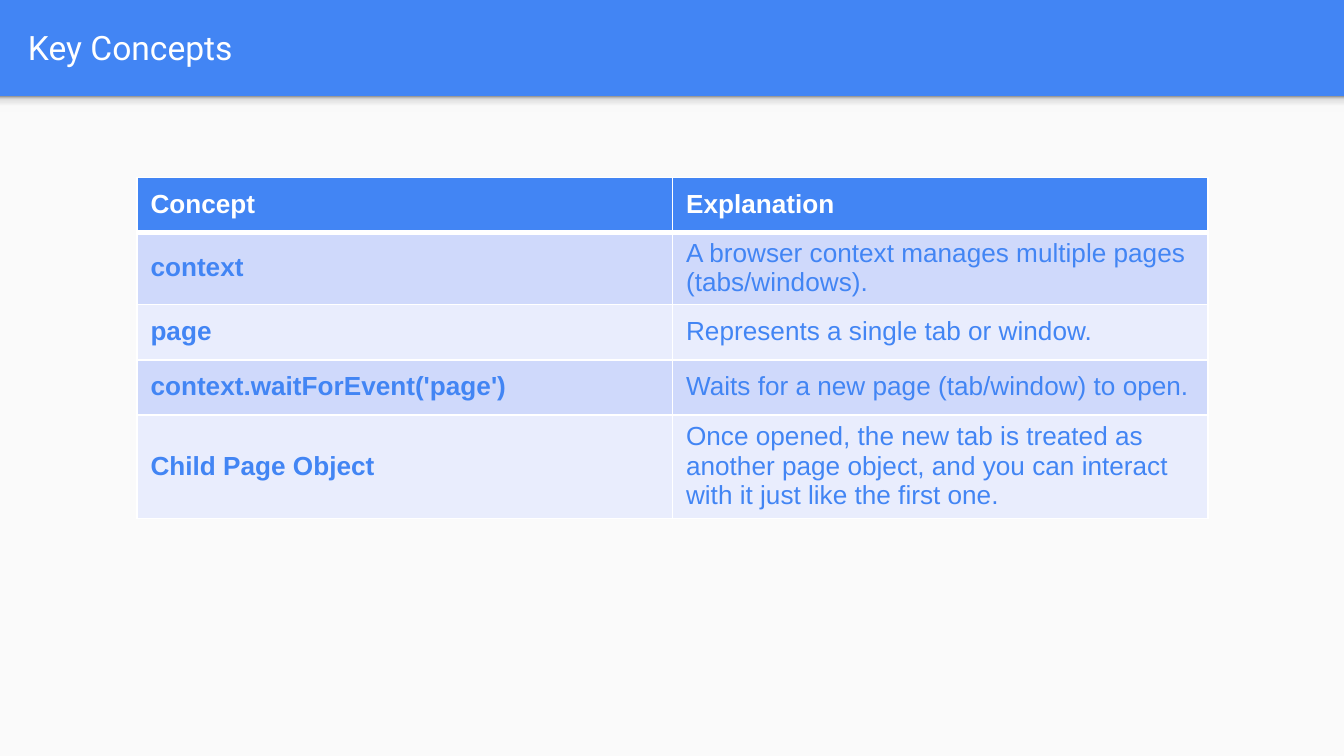
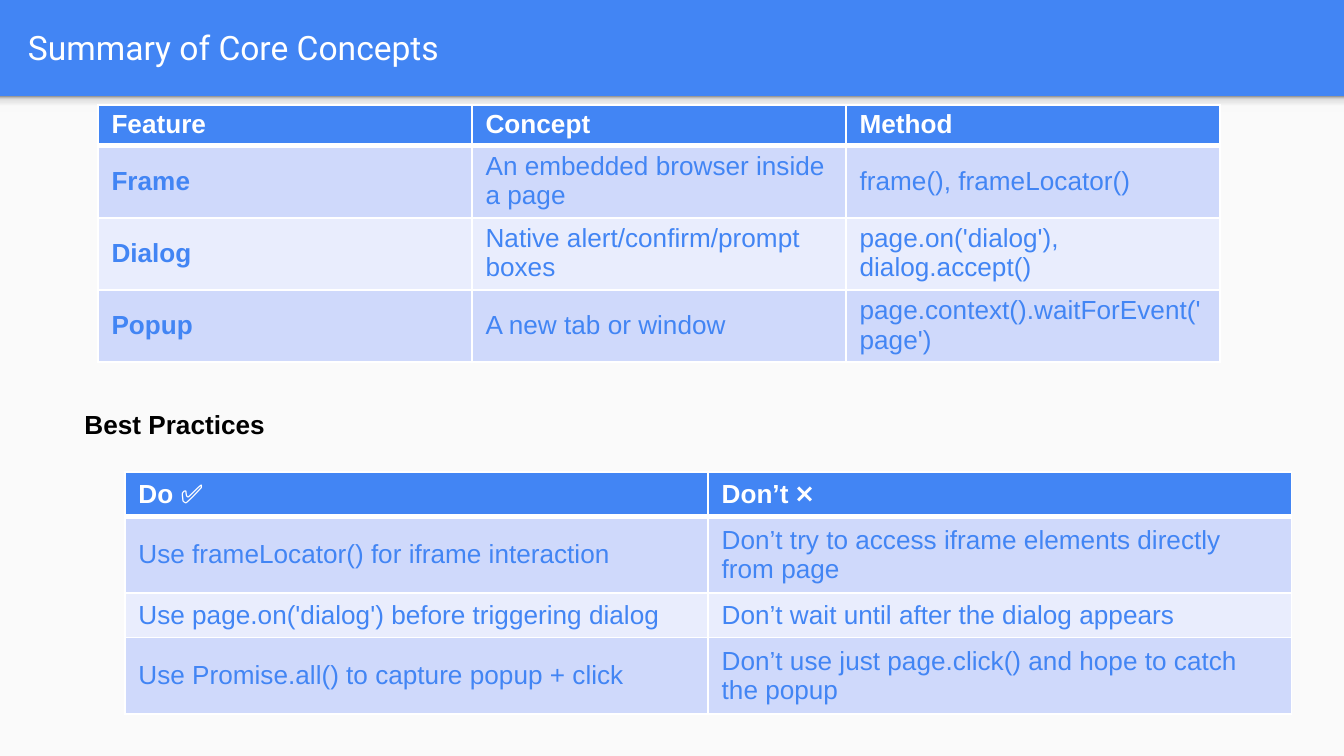
from lxml import etree
from pptx import Presentation
from pptx.dml.color import RGBColor
from pptx.enum.shapes import MSO_SHAPE as Shape
from pptx.enum.text import MSO_ANCHOR as Anchor, MSO_AUTO_SIZE as AutoSize
from pptx.oxml.ns import qn
from pptx.util import Inches, Pt

BLUE, WHITE, BLACK = "4285F4", "FFFFFF", "000000"
PAPER, ROW_ODD, ROW_EVEN = "FAFAFA", "CFD9FB", "E9EDFD"
SHADOW_STOPS = [(0, "F9F9F9"), (36, "F9F9F9"), (80, "DEDEDE"), (100, "999999")]
BODY_FONT, TITLE_FONT = "Arial", "Roboto"
WIDTH = 10
HEIGHT = WIDTH * 9 / 16
BODY_HEIGHT = 4.91
BAND = HEIGHT - BODY_HEIGHT


def color(value):
    return RGBColor.from_string(value)


def add_color_element(parent, value):
    etree.SubElement(parent, qn("a:srgbClr"), val=value)


class Deck:
    """Holds the shared style and the slide being filled."""

    def __init__(self):
        self.presentation = Presentation()
        self.presentation.slide_width = Inches(WIDTH)
        self.presentation.slide_height = Inches(HEIGHT)
        self.slide = None

    def start_slide(self, title):
        self.slide = self.presentation.slides.add_slide(self.presentation.slide_layouts[6])
        background = self.slide.background.fill
        background.solid()
        background.fore_color.rgb = color(BLUE)
        self.rectangle(0, BAND, WIDTH, BODY_HEIGHT, PAPER)
        self.band_shadow()
        self.text(title, 0.11, 0.02, 9.65, 0.66, 18, WHITE, TITLE_FONT, margin=0.1, anchor=Anchor.MIDDLE)

    def rectangle(self, left, top, width, height, fill):
        shape = self.slide.shapes.add_shape(
            Shape.RECTANGLE, Inches(left), Inches(top), Inches(width), Inches(height))
        shape.shadow.inherit = False
        shape.line.fill.background()
        shape.fill.solid()
        shape.fill.fore_color.rgb = color(fill)
        return shape

    def band_shadow(self):
        """Soft gradient strip just below the title band."""
        shape = self.rectangle(0, BAND, WIDTH, 0.12, PAPER)
        shape.fill.gradient()
        shape.fill.gradient_angle = 90
        stops = shape._element.spPr.find(qn("a:gradFill")).find(qn("a:gsLst"))
        for stop in list(stops):
            stops.remove(stop)
        for position, value in SHADOW_STOPS:
            add_color_element(etree.SubElement(stops, qn("a:gs"), pos=str(position * 1000)), value)

    def run(self, paragraph, text, size, value, font, bold=False):
        run = paragraph.add_run()
        run.text = text
        run.font.size = Pt(size)
        run.font.name = font
        run.font.bold = bold
        run.font.color.rgb = color(value)

    def text(self, text, left, top, width, height, size, value, font,
             bold=False, margin=None, anchor=Anchor.TOP):
        box = self.slide.shapes.add_textbox(Inches(left), Inches(top), Inches(width), Inches(height))
        frame = box.text_frame
        frame.word_wrap = True
        frame.vertical_anchor = anchor
        if margin is None:
            frame.auto_size = AutoSize.SHAPE_TO_FIT_TEXT
        else:
            frame.margin_left = frame.margin_right = Inches(margin)
            frame.margin_top = frame.margin_bottom = Inches(margin)
        self.run(frame.paragraphs[0], text, size, value, font, bold)

    def borders(self, cell, top, bottom):
        """White cell borders; must be set before the fill."""
        properties = cell._tc.get_or_add_tcPr()
        for side, width in (("L", 1), ("R", 1), ("T", top), ("B", bottom)):
            line = etree.SubElement(properties, qn(f"a:ln{side}"), w=str(Pt(width)))
            add_color_element(etree.SubElement(line, qn("a:solidFill")), WHITE)

    def table(self, left, top, width, row_heights, rows, bold_first=True, margins=(0.03, 0.04)):
        """Table of equal columns; margins are the top and bottom ones of a cell."""
        columns = len(rows[0])
        table = self.slide.shapes.add_table(
            len(rows), columns, Inches(left), Inches(top),
            Inches(width), Inches(sum(row_heights))).table
        for i, (height, texts) in enumerate(zip(row_heights, rows)):
            table.rows[i].height = Inches(height)
            header = i == 0
            fill = BLUE if header else ROW_ODD if i % 2 else ROW_EVEN
            for j, text in enumerate(texts):
                cell = table.cell(i, j)
                cell.vertical_anchor = Anchor.MIDDLE
                cell.margin_top, cell.margin_bottom = map(Inches, margins)
                self.borders(cell, top=3 if i == 1 else 1, bottom=3 if header else 1)
                cell.fill.solid()
                cell.fill.fore_color.rgb = color(fill)
                self.run(cell.text_frame.paragraphs[0], text, 14, WHITE if header else BLUE,
                         BODY_FONT, header or (bold_first and j == 0))


def key_concepts(deck):
    deck.start_slide("Key Concepts")
    deck.table(1.02, 1.32, 7.97, [0.41] * 5, [
        ("Concept", "Explanation"),
        ("context", "A browser context manages multiple pages (tabs/windows)."),
        ("page", "Represents a single tab or window."),
        ("context.waitForEvent('page')", "Waits for a new page (tab/window) to open."),
        ("Child Page Object", "Once opened, the new tab is treated as another page object, "
                              "and you can interact with it just like the first one."),
    ])


def summary(deck):
    deck.start_slide("Summary of Core Concepts")
    deck.table(0.73, 0.78, 8.35, [0.29] + [0.49] * 3, [
        ("Feature", "Concept", "Method"),
        ("Frame", "An embedded browser inside a page", "frame(), frameLocator()"),
        ("Dialog", "Native alert/confirm/prompt boxes", "page.on('dialog'), dialog.accept()"),
        ("Popup", "A new tab or window", "page.context().waitForEvent('page')"),
    ])
    deck.text("Best Practices", 0.53, 2.99, 5, 0.34, 14, BLACK, BODY_FONT, bold=True)
    deck.table(0.93, 3.51, 8.68, [0.32, 0.56] * 2, [
        ("Do ✅", "Don’t ❌"),
        ("Use frameLocator() for iframe interaction",
         "Don’t try to access iframe elements directly from page"),
        ("Use page.on('dialog') before triggering dialog", "Don’t wait until after the dialog appears"),
        ("Use Promise.all() to capture popup + click",
         "Don’t use just page.click() and hope to catch the popup"),
    ], bold_first=False, margins=(0.05, 0.05))


def main():
    deck = Deck()
    key_concepts(deck)
    summary(deck)
    deck.presentation.save("out.pptx")


if __name__ == "__main__":
    main()
